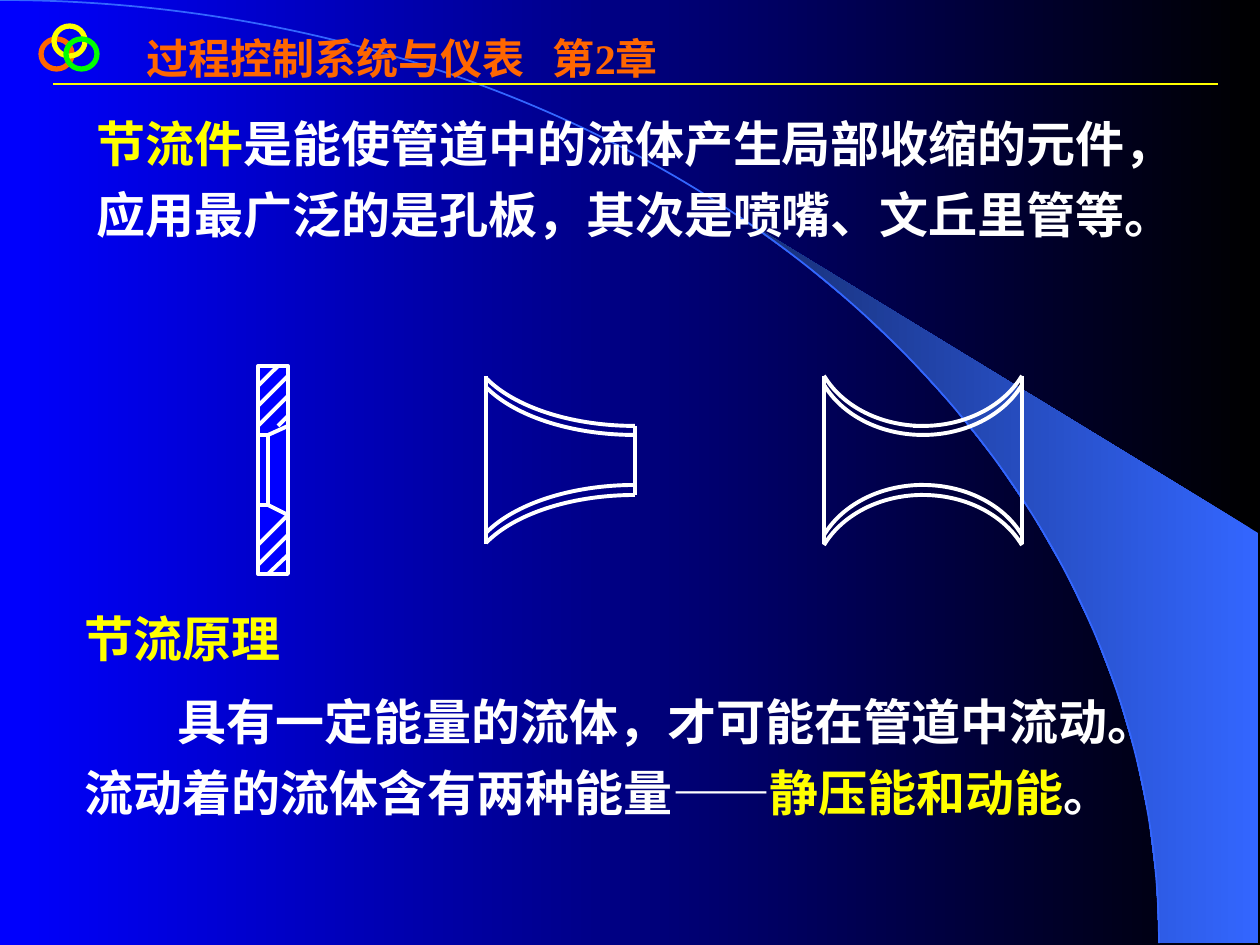
from math import asin, atan2, cos, degrees, sin

from lxml import etree
from pptx import Presentation
from pptx.dml.color import RGBColor
from pptx.enum.shapes import MSO_CONNECTOR, MSO_SHAPE
from pptx.enum.text import MSO_ANCHOR, MSO_AUTO_SIZE, PP_ALIGN
from pptx.oxml.ns import qn
from pptx.util import Emu, Pt

LINE = MSO_CONNECTOR.STRAIGHT
RECT, OVAL, ARC = MSO_SHAPE.RECTANGLE, MSO_SHAPE.OVAL, MSO_SHAPE.ARC
LEFT = PP_ALIGN.LEFT
TOP, FIXED = MSO_ANCHOR.TOP, MSO_AUTO_SIZE.NONE

FONT = "Times New Roman"
STEPS = 13
HUES = {
    "black": "000000", "blue": "0000FF", "sky": "3366FF", "navy": "172F75",
    "white": "FFFFFF", "yellow": "FFFF00", "orange": "FF6600", "green": "00FF00",
}


def px(size):
    return Emu(round(size * 914400 / 126))


def hue(name):
    return RGBColor.from_string(HUES[name])


def fade(fill, first, last):
    fill.gradient()
    fill.gradient_angle = 180
    for stop, name in zip(fill.gradient_stops, (first, last)):
        stop.color.rgb = hue(name)


def stroke(shape, name, width):
    shape.line.color.rgb = hue(name)
    shape.line.width = Pt(width)


def line(slide, x1, y1, x2, y2, name="white", width=2.25):
    wire = slide.shapes.add_connector(LINE, px(x1), px(y1), px(x2), px(y2))
    stroke(wire, name, width)
    etree.SubElement(wire._element.spPr, qn("a:effectLst"))


def block(slide, kind, x, y, w, h, name, width, fill=None):
    shape = slide.shapes.add_shape(kind, px(x), px(y), px(w), px(h))
    shape.shadow.inherit = False
    stroke(shape, name, width)
    if fill:
        shape.fill.solid()
        shape.fill.fore_color.rgb = hue(fill)
    else:
        shape.fill.background()
    return shape


def arc(slide, x, y, rx, ry, start, end, name="white", width=2.25):
    shape = block(slide, ARC, x - rx, y - ry, 2 * rx, 2 * ry, name, width)
    shape.adjustments[0] = start * 0.6
    shape.adjustments[1] = end * 0.6


def sweep(slide, w, h):
    rx, ry = w - 101, h - 2
    low, high = asin(742 / rx), asin(1)
    turns = [low + (high - low) * i / STEPS for i in range(STEPS + 1)]
    edge = [(rx * sin(t), ry * (1 - cos(t))) for t in turns]
    spots = [(px(a), px(b)) for a, b in edge + [(w - 2, ry), (w - 2, 533)]]
    pen = slide.shapes.build_freeform(*spots[0], scale=1)
    pen.add_line_segments(spots[1:], close=True)
    wedge = pen.convert_to_shape()
    wedge.shadow.inherit = False
    fade(wedge.fill, "sky", "navy")
    wedge.line.fill.background()
    arc(slide, 0, ry, rx, ry, 270, 0, "sky", 1)


def rings(slide, x, y):
    for dx, dy, name in ((0, 13, "orange"), (13, 0, "yellow"), (25, 13, "green")):
        block(slide, OVAL, x + dx, y + dy, 31, 30, name, 3)


def place(shape, x, y, w, h):
    shape.left, shape.top, shape.width, shape.height = map(px, (x, y, w, h))
    frame = shape.text_frame
    frame.word_wrap = True
    frame.auto_size = FIXED
    frame.vertical_anchor = TOP
    frame.margin_left = frame.margin_right = px(13)
    frame.margin_top = frame.margin_bottom = px(6)
    return frame


def style(para, size):
    para.alignment = LEFT
    para.font.name = FONT
    para.font.size = Pt(size)
    para.font.bold = True


def header(slide, x, y, w, h):
    frame = place(slide.shapes.title, x, y, w, h)
    para = frame.paragraphs[0]
    para.text = "过程控制系统与仪表\t第2章"
    tabs = etree.SubElement(para._p.get_or_add_pPr(), qn("a:tabLst"))
    etree.SubElement(tabs, qn("a:tab"), pos=str(px(406)), algn="l")
    style(para, 24)
    para.font.color.rgb = hue("orange")


def prose(shape, box, paras):
    frame = place(shape, *box)
    for i, (indent, runs) in enumerate(paras):
        para = frame.add_paragraph() if i else frame.paragraphs[0]
        props = para._p.get_or_add_pPr()
        props.set("marL", "0")
        props.set("indent", str(px(indent)))
        etree.SubElement(props, qn("a:buNone"))
        para.line_spacing = 1.2
        para.space_before = Pt(7 if i else 0)
        style(para, 28)
        for text, name in runs:
            run = para.add_run()
            run.text = text
            run.font.color.rgb = hue(name)


def plate(slide, x, y, w, h):
    block(slide, RECT, x, y, w, h, "white", 2.25, "blue")
    block(slide, RECT, x, y + 69, 10, 70, "white", 2.25, "blue")
    line(slide, x + 10, y + 139, x + w, y + 149)
    line(slide, x + 10, y + 69, x + w, y + 60)
    hatch = (
        (20, 0, 0, 20), (w, 10, 0, 40), (w, 30, 0, 60), (w, 50, 20, 60),
        (w, 149, 0, 179), (w, 169, 0, 199), (w, 189, 10, h),
    )
    for x1, y1, x2, y2 in hatch:
        line(slide, x + x1, y + y1, x + x2, y + y2)


def walls(slide, x, y, h, rx, reach):
    ry = 89
    turn = asin(abs(reach) / rx)
    tilt = degrees(atan2(ry * cos(turn), rx * sin(turn)))
    if reach < 0:
        upper, lower = (90, 180 - tilt), (180 + tilt, 270)
    else:
        upper, lower = (tilt, 90), (270, 360 - tilt)
    for gap in (50, 59):
        arc(slide, x, y + gap - ry, rx, ry, *upper)
    for gap in (59, 49):
        arc(slide, x, y + h - gap + ry, rx, ry, *lower)
    line(slide, x + reach, y, x + reach, y + h)


def nozzle(slide, x, y, w, h):
    walls(slide, x + w, y, h, 168, -w)
    line(slide, x + w, y + 50, x + w, y + h - 49)


def tube(slide, x, y, w, h):
    half = w // 2
    for reach in (-half, half):
        walls(slide, x + half, y, h, 110, reach)
    line(slide, x + half - 10, y + 50, x + half, y + 50)


def main():
    deck = Presentation()
    deck.slide_width, deck.slide_height = px(1260), px(945)
    slide = deck.slides.add_slide(deck.slide_layouts[3])
    fade(slide.background.fill, "black", "blue")
    sweep(slide, 1260, 945)
    line(slide, 53, 84, 1218, 84, "yellow", 1.5)
    rings(slide, 41, 26)
    header(slide, 134, 26, 566, 113)
    plate(slide, 258, 366, 30, 208)
    nozzle(slide, 486, 376, 149, 168)
    tube(slide, 824, 376, 198, 168)
    upper, lower = list(slide.placeholders)[1:]
    prose(upper, (84, 96, 1101, 224), [
        (0, [("节流件", "yellow"),
             ("是能使管道中的流体产生局部收缩的元件，"
              "应用最广泛的是孔板，其次是喷嘴、文丘里管等。", "white")]),
    ])
    prose(lower, (72, 591, 1110, 237), [
        (0, [("节流原理", "yellow")]),
        (93, [("具有一定能量的流体，才可能在管道中流动。"
               "流动着的流体含有两种能量——", "white"),
              ("静压能和动能", "yellow"), ("。", "white")]),
    ])
    tree = slide.shapes._spTree
    for shape in list(slide.placeholders):
        tree.append(shape._element)
    deck.save("out.pptx")


if __name__ == "__main__":
    main()
